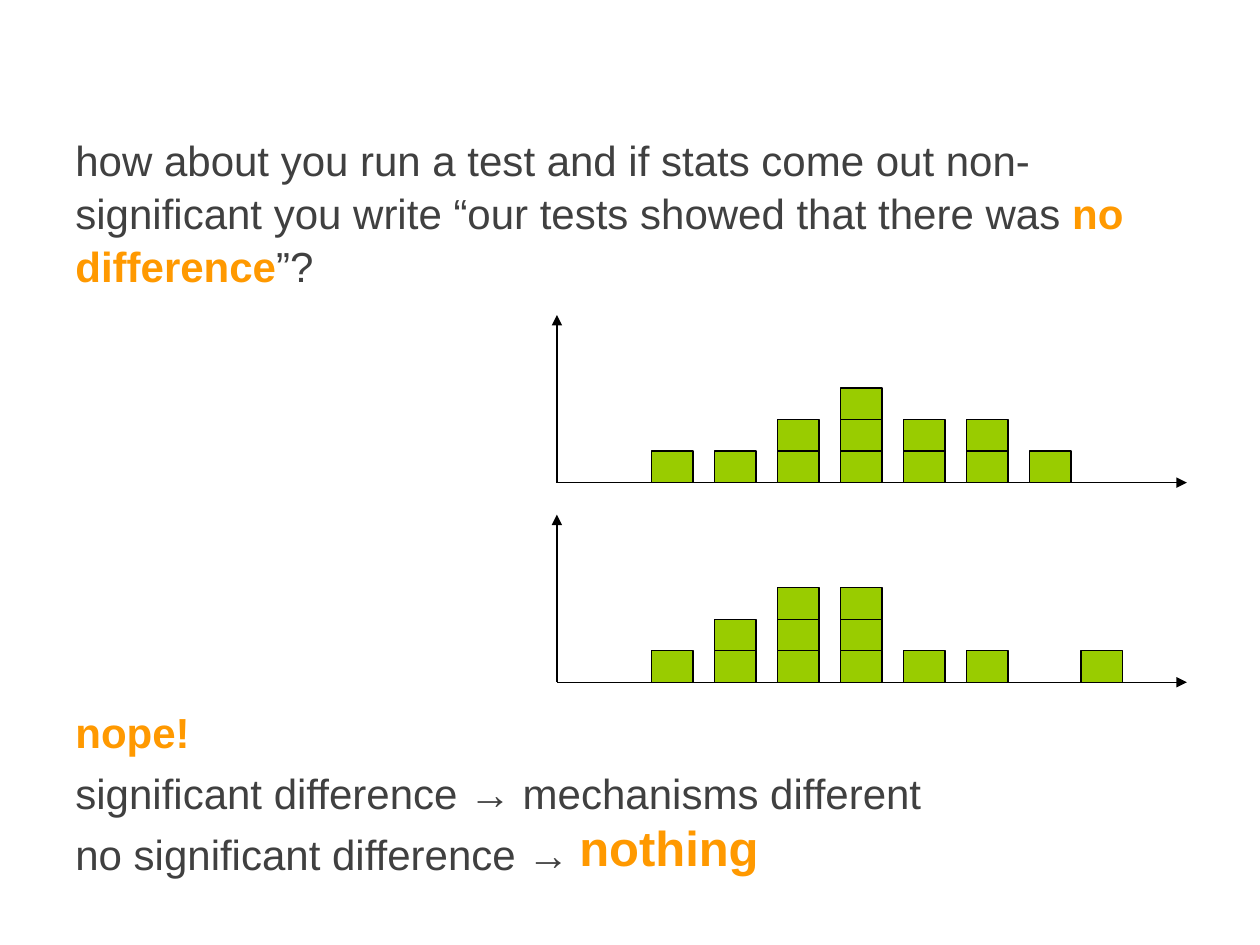
from lxml import etree
from pptx import Presentation
from pptx.dml.color import RGBColor
from pptx.enum.shapes import MSO_CONNECTOR, MSO_SHAPE
from pptx.oxml.ns import qn
from pptx.util import Inches, Pt

RECT = MSO_SHAPE.RECTANGLE
LINE = MSO_CONNECTOR.STRAIGHT
GREY, GOLD, GREEN, BLACK = "404040", "FF9900", "99CC00", "000000"
BODY = {"name": "Arial", "size": Pt(24), "bold": False}
BOLD = {**BODY, "bold": True}
LARGE = {**BOLD, "size": Pt(28)}

LEFT, RIGHT, RISE = 4.42, 9.42, 1.33
START, STEP = 5.17, 0.5
WIDE, TALL = 0.33, 0.25

PLOTS = [
    (3.83, {0: 1, 1: 1, 2: 2, 3: 3, 4: 2, 5: 2, 6: 1}),
    (5.415, {0: 1, 1: 2, 2: 3, 3: 3, 4: 1, 5: 1, 6.82: 1}),
]

TEXT = [
    (0, [
        ("how about you run a test and if stats come out non-significant "
         "you write “our tests showed that there was ", GREY, BODY),
        ("no difference", GOLD, BOLD),
        ("”?", GREY, BODY),
    ]),
    (236, [("nope!", GOLD, BOLD)]),
    (4.8, [("significant difference → mechanisms different", GREY, BODY)]),
    (4.8, [("no significant difference →", GREY, BODY)]),
]


def paint(part, color):
    if hasattr(part, "solid"):
        part.solid()
        part = part.fore_color
    else:
        part = part.color
    part.rgb = RGBColor.from_string(color)


def style(item, form):
    for key, value in form.items():
        setattr(item, key, value)


def add_text(slide, box, paras, wrap, pitch):
    frame = slide.shapes.add_textbox(*map(Inches, box)).text_frame
    frame.word_wrap = wrap
    for num, (gap, runs) in enumerate(paras):
        para = frame.add_paragraph() if num else frame.paragraphs[0]
        style(para, {"space_before": Pt(gap), "line_spacing": pitch})
        for text, color, form in runs:
            run = para.add_run()
            run.text = text
            style(run.font, form)
            paint(run.font, color)


def add_axis(slide, tip, base):
    axis = slide.shapes.add_connector(LINE, *map(Inches, tip + base))
    paint(axis.line, BLACK)
    axis.line.width = Pt(0.75)
    head = etree.SubElement(axis.line._get_or_add_ln(), qn("a:headEnd"))
    head.set("type", "triangle")
    etree.SubElement(axis._element.spPr, qn("a:effectLst"))


def add_block(slide, left, top):
    block = slide.shapes.add_shape(RECT, *map(Inches, (left, top, WIDE, TALL)))
    block.shadow.inherit = False
    paint(block.fill, GREEN)
    paint(block.line, BLACK)
    block.line.width = Pt(0.75)


def add_plot(slide, base, stacks):
    zero = (LEFT, base)
    add_axis(slide, (LEFT, base - RISE), zero)
    add_axis(slide, (RIGHT, base), zero)
    for col, count in stacks.items():
        for row in range(count):
            add_block(slide, START + col * STEP, base - (row + 1) * TALL)


def main():
    deck = Presentation()
    style(deck, {"slide_width": Inches(10), "slide_height": Inches(7.5)})
    slide = deck.slides.add_slide(deck.slide_layouts[6])
    add_text(slide, (0.5, 1, 9.25, 4.95), TEXT, True, 1.05)
    for base, stacks in PLOTS:
        add_plot(slide, base, stacks)
    add_text(slide, (4.5, 6.44, 1.64, 0.57),
             [(0, [("nothing", GOLD, LARGE)])], False, 1.0)
    deck.save("out.pptx")


if __name__ == "__main__":
    main()
